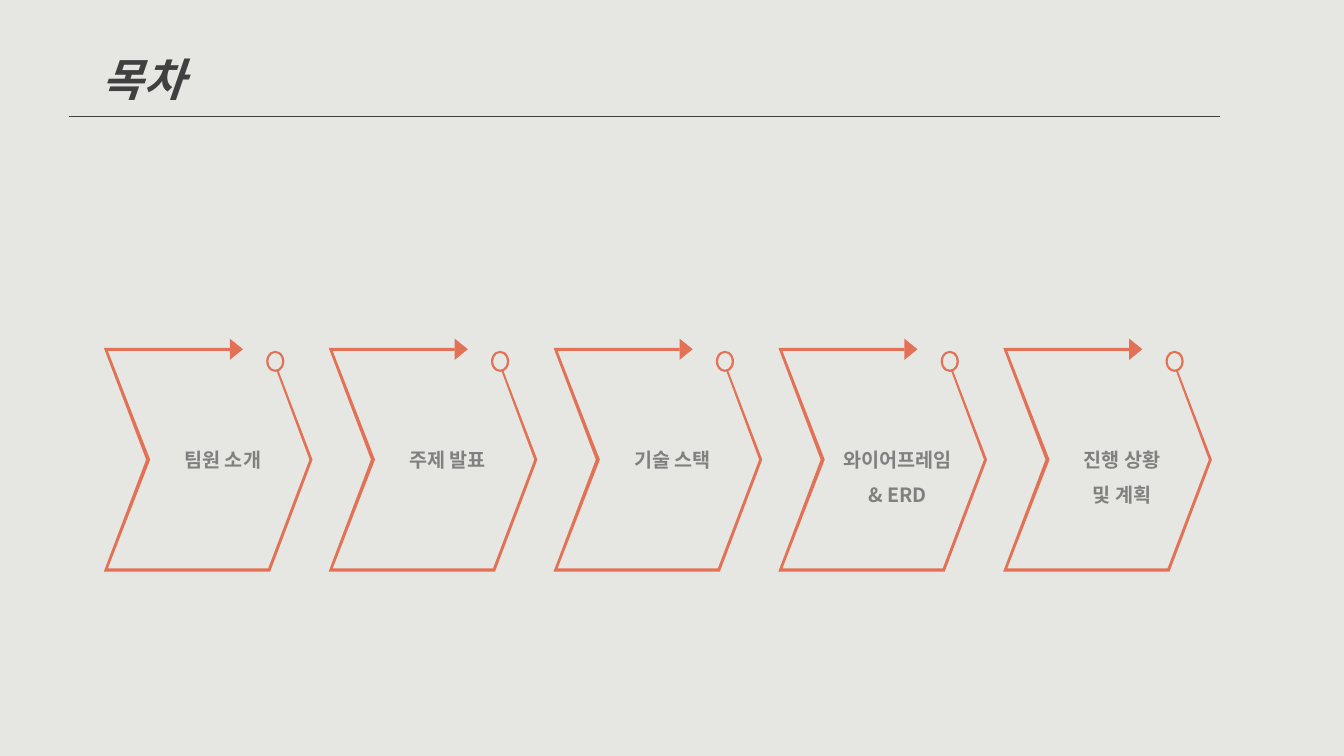
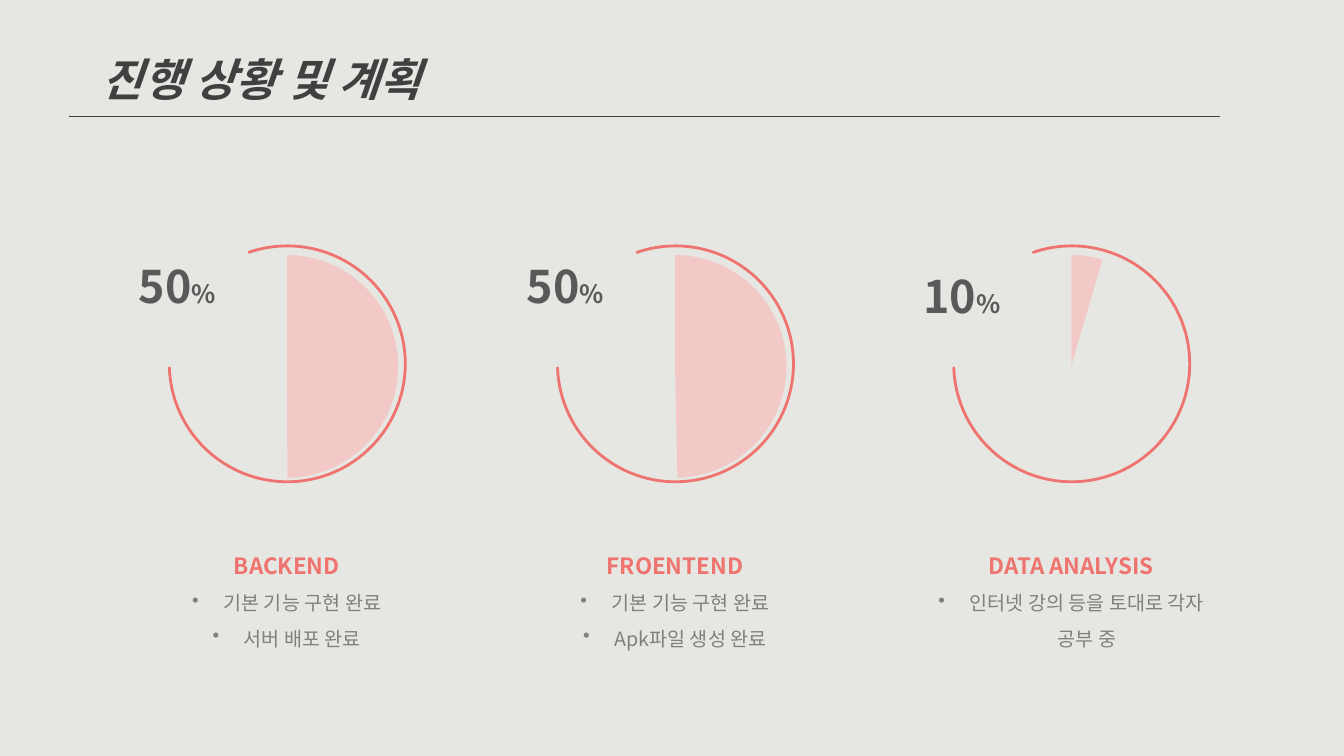
from dataclasses import dataclass

from lxml import etree
from pptx import Presentation
from pptx.dml.color import RGBColor
from pptx.enum.shapes import MSO_CONNECTOR, MSO_SHAPE
from pptx.enum.text import MSO_ANCHOR, MSO_AUTO_SIZE, PP_ALIGN
from pptx.oxml.ns import qn
from pptx.util import Inches, Pt

ARC, DONUT, TRIANGLE = MSO_SHAPE.ARC, MSO_SHAPE.DONUT, MSO_SHAPE.ISOSCELES_TRIANGLE
STRAIGHT = MSO_CONNECTOR.STRAIGHT
LEFT, CENTER = PP_ALIGN.LEFT, PP_ALIGN.CENTER
TOP, MIDDLE = MSO_ANCHOR.TOP, MSO_ANCHOR.MIDDLE
TITLE_ONLY = 5


@dataclass(frozen=True)
class Theme:
    font: str = "Noto Sans CJK KR"
    background: str = "E6E7E2"
    dark: str = "404040"
    number: str = "595959"
    body: str = "808080"
    chevron: str = "E37156"
    accent: str = "EF746F"
    sector: str = "FBB9B9"
    sector_opacity: int = 63
    title_size: int = 32
    heading_size: int = 16
    body_size: int = 14
    percent_size: int = 18
    spacing: float = 1.5


THEME = Theme()

AGENDA = [
    ["팀원 소개"],
    ["주제 발표"],
    ["기술 스택"],
    ["와이어프레임", "& ERD"],
    ["진행 상황", "및 계획"],
]
AGENDA_LEFT, AGENDA_TOP, AGENDA_PITCH = 1.03, 3.45, 2.23

# Outline of the open chevron, measured from its top left corner
CHEVRON = [
    (0, 0), (1.25, 0), (1.25, 0.03), (0.04, 0.03), (0.46, 1.11),
    (0.04, 2.19), (1.63, 2.19), (2.04, 1.11), (1.71, 0.22), (1.73, 0.22),
    (2.07, 1.11), (1.65, 2.22), (0, 2.22), (0.42, 1.11),
]

# Ring left, number top, number, end angle of the sector, heading, items
PROGRESS = [
    (1.68, 2.51, "50", 89.7, "BACKEND", ["기본 기능 구현 완료", "서버 배포 완료"]),
    (5.53, 2.51, "50", 88.8, "FROENTEND", ["기본 기능 구현 완료", "Apk파일 생성 완료"]),
    (9.46, 2.61, "10", 286.2, "DATA ANALYSIS", ["인터넷 강의 등을 토대로 각자 공부 중"]),
]


def rgb(color):
    return RGBColor.from_string(color)


def add_run(paragraph, text, *, size, color, bold=False, italic=False):
    run = paragraph.add_run()
    run.text = text
    font = run.font
    font.name, font.size, font.bold, font.italic = THEME.font, Pt(size), bold, italic
    font.color.rgb = rgb(color)
    east_asian = etree.SubElement(run._r.get_or_add_rPr(), qn("a:ea"))
    east_asian.set("typeface", THEME.font)


def add_bullet(paragraph):
    properties = paragraph._p.get_or_add_pPr()
    properties.set("marL", str(Inches(0.31)))
    properties.set("indent", str(Inches(-0.31)))
    etree.SubElement(properties, qn("a:buChar")).set("char", "•")


def write(frame, paragraphs, *, align=CENTER, anchor=TOP, spacing=THEME.spacing):
    """Fill a frame; each paragraph is (runs, bulleted), each run (text, format)."""
    frame.word_wrap = True
    frame.auto_size = MSO_AUTO_SIZE.NONE
    frame.vertical_anchor = anchor
    for index, (runs, bulleted) in enumerate(paragraphs):
        paragraph = frame.add_paragraph() if index else frame.paragraphs[0]
        paragraph.alignment, paragraph.line_spacing = align, spacing
        if bulleted:
            add_bullet(paragraph)
        for text, style in runs:
            add_run(paragraph, text, **style)


class Deck:
    def __init__(self):
        self.file = Presentation()
        self.file.slide_width, self.file.slide_height = Inches(13.33), Inches(7.5)
        fill = self.file.slide_master.background.fill
        fill.solid()
        fill.fore_color.rgb = rgb(THEME.background)
        self.slide = None

    def new_slide(self, title):
        self.slide = self.file.slides.add_slide(self.file.slide_layouts[TITLE_ONLY])
        heading = self.slide.shapes.title
        heading.left, heading.top = Inches(0.91), Inches(0.2)
        heading.width, heading.height = Inches(5.35), Inches(0.95)
        style = dict(size=THEME.title_size, color=THEME.dark, bold=True, italic=True)
        write(heading.text_frame, [([(title, style)], False)], align=LEFT)
        self.rule(0.68, 12.1, 1.15)

    def rule(self, left, right, y):
        line = self.slide.shapes.add_connector(
            STRAIGHT, Inches(left), Inches(y), Inches(right), Inches(y))
        line.line.color.rgb = rgb(THEME.dark)
        line.line.width = Pt(0.5)
        etree.SubElement(line._element.spPr, qn("a:effectLst"))

    def text(self, left, top, width, height, paragraphs, **layout):
        box = self.slide.shapes.add_textbox(
            Inches(left), Inches(top), Inches(width), Inches(height))
        write(box.text_frame, paragraphs, **layout)

    def paint(self, shape, color):
        shape.shadow.inherit = False
        shape.fill.solid()
        shape.fill.fore_color.rgb = rgb(color)
        shape.line.fill.background()

    def preset(self, kind, left, top, width, height, color, shapes=None):
        shape = (shapes or self.slide.shapes).add_shape(
            kind, Inches(left), Inches(top), Inches(width), Inches(height))
        self.paint(shape, color)
        return shape

    def arc(self, left, top, size, start, end, color):
        """Add an arc whose angles run clockwise from three o'clock, in degrees."""
        arc = self.preset(ARC, left, top, size, size, color)
        for index, angle in enumerate((start, end)):
            arc.adjustments[index] = angle * 0.6
        return arc

    def ring(self, left, top):
        ring = self.arc(left, top, 2.34, 251, 178.1, THEME.accent)
        ring.fill.background()
        ring.line.color.rgb = rgb(THEME.accent)
        ring.line.width = Pt(2)
        ring.line._get_or_add_ln().set("cap", "rnd")

    def sector(self, left, top, end):
        sector = self.arc(left, top, 2.21, 270, end, THEME.sector)
        color = sector._element.spPr.find(qn("a:solidFill")).find(qn("a:srgbClr"))
        alpha = etree.SubElement(color, qn("a:alpha"))
        alpha.set("val", str(THEME.sector_opacity * 1000))

    def chevron(self, left, top, lines):
        group = self.slide.shapes.add_group_shape().shapes
        corners = [(Inches(left + x), Inches(top + y)) for x, y in CHEVRON]
        builder = group.build_freeform(*corners[0], scale=1.0)
        builder.add_line_segments(corners[1:], close=True)
        self.paint(builder.convert_to_shape(), THEME.chevron)
        arrowhead = self.preset(
            TRIANGLE, left + 1.21, top - 0.05, 0.21, 0.13, THEME.chevron, group)
        arrowhead.rotation = 90
        knob = self.preset(
            DONUT, left + 1.61, top + 0.03, 0.18, 0.21, THEME.chevron, group)
        knob.adjustments[0] = 0.117
        style = dict(size=THEME.body_size, color=THEME.body, bold=True)
        self.text(left + 0.19, top + 0.83, 1.98, 0.8,
                  [([(line, style)], False) for line in lines])

    def progress(self, left, number_top, number, end, heading, items):
        self.ring(left, 2.44)
        self.sector(left + 0.06, 2.53, end)
        bold = dict(color=THEME.number, bold=True)
        runs = [(number, dict(bold, size=THEME.title_size)),
                ("%", dict(bold, size=THEME.percent_size))]
        self.text(left - 0.77, number_top, 1.7, 0.64, [(runs, False)],
                  anchor=MIDDLE, spacing=1.0)
        head = dict(size=THEME.heading_size, color=THEME.accent, bold=True)
        body = dict(size=THEME.body_size, color=THEME.body)
        self.text(left - 0.3, 5.3, 2.93, 1.21,
                  [([(heading, head)], False)]
                  + [([(item, body)], True) for item in items])


def main():
    deck = Deck()
    deck.new_slide("목차")
    for index, lines in enumerate(AGENDA):
        deck.chevron(AGENDA_LEFT + index * AGENDA_PITCH, AGENDA_TOP, lines)
    deck.new_slide("진행 상황 및 계획")
    for track in PROGRESS:
        deck.progress(*track)
    deck.file.save("out.pptx")


if __name__ == "__main__":
    main()
